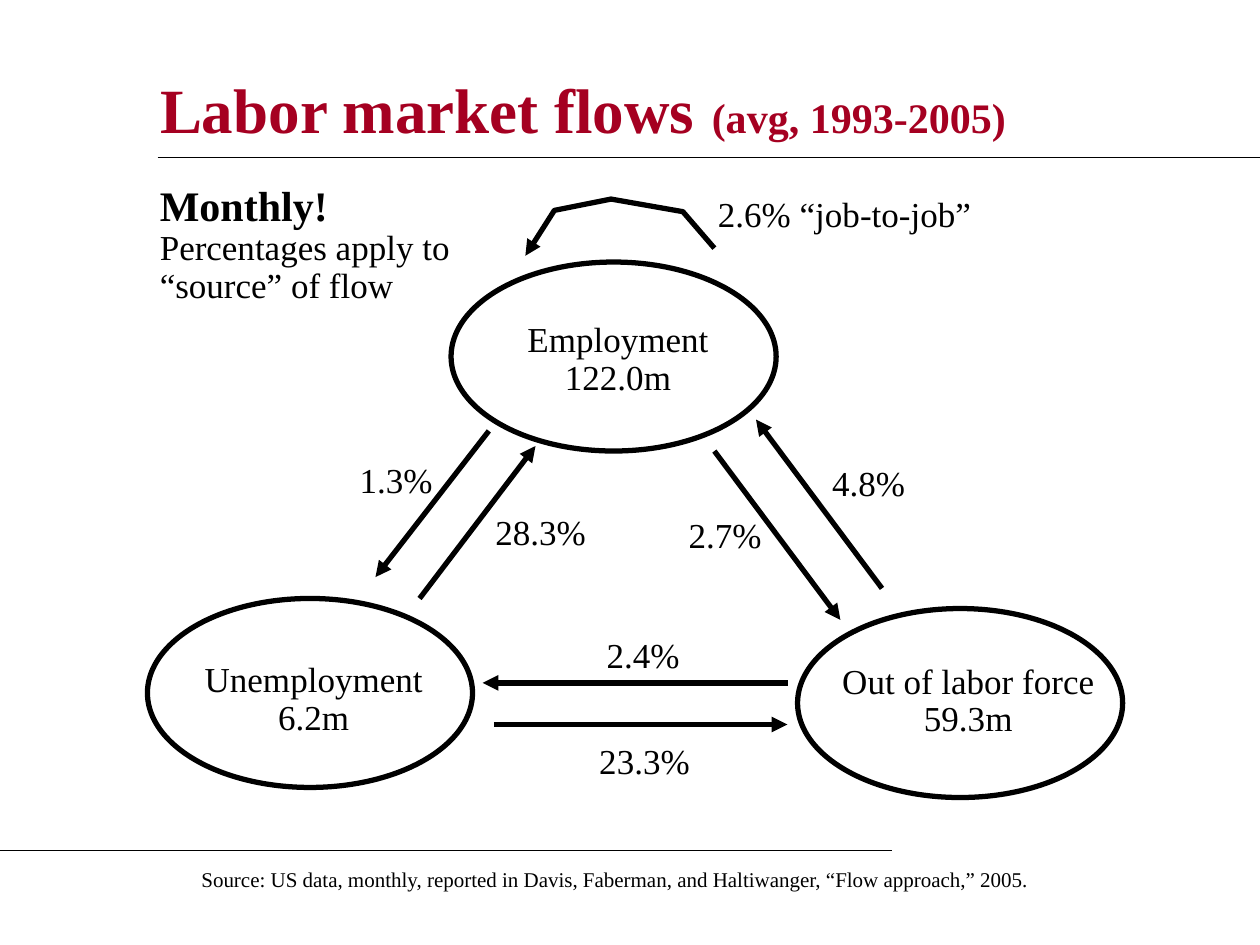
from lxml import etree
from pptx import Presentation
from pptx.dml.color import RGBColor
from pptx.enum import shapes, text
from pptx.oxml import ns
from pptx.util import Inches, Pt

FONT = "Times New Roman"
BLACK, RED = "000000", "A50021"
LEFT, CENTER = text.PP_ALIGN.LEFT, text.PP_ALIGN.CENTER

# Runs are (text, size, bold)
TITLE = [("Labor market flows", 36, True), (" ", 40, True), ("(avg, 1993-2005)", 24, True)]
NOTE = [[("Monthly!", 24, True)], [("Percentages apply to “source” of flow", 20, False)]]
SOURCE = ("Source: US data, monthly, reported in Davis, Faberman, and Haltiwanger, "
          "“Flow approach,” 2005.")

# Name, size of the group, ellipse left and top, label box
STATES = [
    ("Employment", "122.0m", (3.58, 2.08), (4.07, 2.51, 1.67, 0.7)),
    ("Out of labor force", "59.3m", (6.33, 4.83), (6.56, 5.22, 2.25, 0.7)),
    ("Unemployment", "6.2m", (1.17, 4.75), (1.49, 5.21, 2, 0.7)),
]
STATE_SIZE = (2.58, 1.5)

# Rate, arrow start, arrow end, label left, top and width
FLOWS = [
    ("28.3%", (3.33, 4.75), (4.25, 3.54), (3.75, 4, 1.08)),
    ("1.3%", (3.88, 3.42), (2.98, 4.58), (2.73, 3.59, 0.83)),
    ("2.7%", (5.67, 3.58), (6.67, 4.92), (5.34, 4.03, 0.83)),
    ("23.3%", (3.92, 5.75), (6.25, 5.75), (4.59, 5.82, 1.05)),
    ("2.4%", (6.25, 5.42), (3.83, 5.42), (4.71, 4.98, 0.79)),
    ("4.8%", (7, 4.67), (6, 3.33), (6.48, 3.61, 0.83)),
]
FLOW_LABEL_HEIGHT = 0.44
JOB_TO_JOB = [(5.67, 1.97), (5.42, 1.68), (4.85, 1.58), (4.4, 1.67), (4.17, 2.03)]
RULES = [((1.25, 1.25), (10, 1.25)), ((0, 6.75), (7.08, 6.75))]


def rgb(color):
    return RGBColor.from_string(color)


def inches(*values):
    return [Inches(value) for value in values]


def add_runs(paragraph, runs, color=BLACK):
    for words, size, bold in runs:
        run = paragraph.add_run()
        run.text = words
        run.font.name, run.font.size, run.font.bold = FONT, Pt(size), bold
        run.font.color.rgb = rgb(color)


def add_label(slide, box, paragraphs, align=CENTER, spacing=None):
    frame = slide.shapes.add_textbox(*inches(*box)).text_frame
    frame.word_wrap = True
    for index, runs in enumerate(paragraphs):
        paragraph = frame.add_paragraph() if index else frame.paragraphs[0]
        paragraph.alignment = align
        paragraph.line_spacing = spacing
        add_runs(paragraph, runs)


def style_outline(line, width):
    line.color.rgb = rgb(BLACK)
    line.width = Pt(width)


def add_arrowhead(shape):
    outline = shape.line._get_or_add_ln()
    etree.SubElement(outline, ns.qn("a:tailEnd"), type="triangle")


def add_line(slide, start, end, width):
    line = slide.shapes.add_connector(shapes.MSO_CONNECTOR.STRAIGHT, *inches(*start, *end))
    style_outline(line.line, width)
    etree.SubElement(line._element.spPr, ns.qn("a:effectLst"))
    return line


def add_title(slide):
    title = slide.shapes.title
    title.left, title.top, title.width, title.height = inches(1.17, 0.25, 7.58, 1.17)
    title.text_frame.vertical_anchor = text.MSO_ANCHOR.MIDDLE
    title.text_frame.word_wrap = True
    paragraph = title.text_frame.paragraphs[0]
    paragraph.alignment = LEFT
    add_runs(paragraph, TITLE, RED)


def add_state(slide, name, count, corner, label_box):
    ellipse = slide.shapes.add_shape(shapes.MSO_SHAPE.OVAL, *inches(*corner, *STATE_SIZE))
    ellipse.shadow.inherit = False
    ellipse.fill.background()
    style_outline(ellipse.line, 3)
    add_label(slide, label_box, [[(name, 20, False)], [(count, 20, False)]], spacing=0.9)


def add_job_to_job(slide):
    first, *rest = [inches(*point) for point in JOB_TO_JOB]
    builder = slide.shapes.build_freeform(*first)
    builder.add_line_segments(rest, close=False)
    loop = builder.convert_to_shape()
    loop.shadow.inherit = False
    loop.fill.background()
    style_outline(loop.line, 3)
    add_arrowhead(loop)
    add_label(slide, (5.6, 1.48, 2.5, FLOW_LABEL_HEIGHT),
              [[("2.6% “job-to-job”", 20, False)]], LEFT)


def main():
    deck = Presentation()
    deck.slide_width, deck.slide_height = inches(10, 7.5)
    slide = deck.slides.add_slide(deck.slide_layouts[5])
    add_title(slide)
    for start, end in RULES:
        add_line(slide, start, end, 0.75)
    for state in STATES:
        add_state(slide, *state)
    for rate, start, end, place in FLOWS:
        add_arrowhead(add_line(slide, start, end, 3))
        add_label(slide, (*place, FLOW_LABEL_HEIGHT), [[(rate, 20, False)]])
    add_job_to_job(slide)
    add_label(slide, (1.17, 1.42, 2.5, 1.06), NOTE, LEFT, 0.9)
    add_label(slide, (1.5, 6.83, 6.92, 0.3), [[(SOURCE, 12, False)]], LEFT)
    deck.save("out.pptx")


if __name__ == "__main__":
    main()
